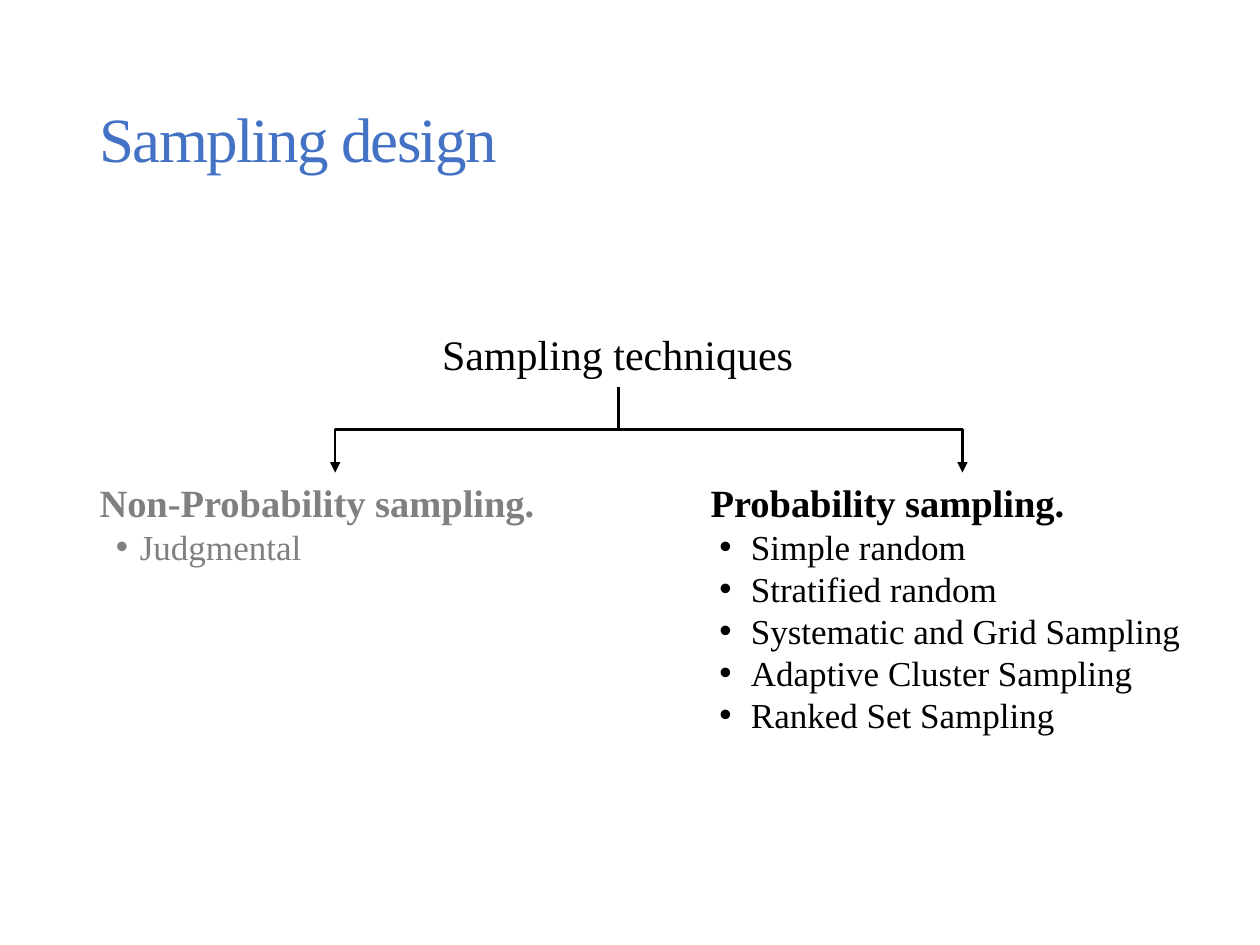
import pptx
import pptx.dml.color
import pptx.enum.shapes
import pptx.enum.text
import pptx.oxml.ns
import pptx.util
from lxml import etree

Pt = pptx.util.Pt
qn = pptx.oxml.ns.qn

COLOURS = {"title": "4472C4", "text": "000000", "muted": "808080"}
FONT = "Times New Roman"
TRUNK_X, TRUNK_TOP, BRANCH_BOTTOM = 353.5, 221, 270


def place(shape, left, top, width, height):
    box = {"left": left, "top": top, "width": width, "height": height}
    for name, value in box.items():
        setattr(shape, name, Pt(value))


def set_text(paragraph, text, size, colour, bold=False):
    paragraph.text = text
    font = paragraph.runs[0].font
    for name, value in {"name": FONT, "size": Pt(size), "bold": bold}.items():
        setattr(font, name, value)
    font.color.rgb = pptx.dml.color.RGBColor.from_string(COLOURS[colour])


def set_bullet(paragraph, character, margin, indent):
    """Set the indents, and a bullet or none if character is empty."""
    properties = paragraph._p.get_or_add_pPr()
    properties.set("marL", str(Pt(margin)))
    properties.set("indent", str(Pt(indent)))
    if character:
        etree.SubElement(properties, qn("a:buFont"), typeface="Arial")
        etree.SubElement(properties, qn("a:buChar"), char=character)
    else:
        etree.SubElement(properties, qn("a:buNone"))


def set_title(title, text):
    place(title, 49.7, 28.8, 620.6, 104.4)
    title.text_frame.vertical_anchor = pptx.enum.text.MSO_ANCHOR.MIDDLE
    paragraph = title.text_frame.paragraphs[0]
    set_text(paragraph, text, 36, "title")
    paragraph.alignment = pptx.enum.text.PP_ALIGN.LEFT
    paragraph.line_spacing = 0.9
    paragraph.runs[0].font._element.set("spc", "-100")


def add_label(slide, text):
    label = slide.shapes.add_textbox(Pt(245.5), Pt(184.3), Pt(216.7), Pt(36))
    label.text_frame.word_wrap = False
    set_text(label.text_frame.paragraphs[0], text, 24, "text")


def fill_list(body, box, heading, items, colour, hanging):
    place(body, *box)
    frame = body.text_frame
    frame.auto_size = pptx.enum.text.MSO_AUTO_SIZE.SHAPE_TO_FIT_TEXT
    frame.vertical_anchor = pptx.enum.text.MSO_ANCHOR.TOP
    set_bullet(frame.paragraphs[0], "", 0, 0)
    set_text(frame.paragraphs[0], heading, 22, colour, bold=True)
    for item in items:
        paragraph = frame.add_paragraph()
        paragraph.level = 1
        set_bullet(paragraph, "•", 23, -hanging)
        set_text(paragraph, item, 20, colour)
    for paragraph in frame.paragraphs:
        paragraph.space_before = Pt(0)
        paragraph.line_spacing = 1.0


def add_branch(slide, end_x):
    """Draw an elbow arrow that leaves the trunk downwards, as a turned connector."""
    height = BRANCH_BOTTOM - TRUNK_TOP
    span = abs(end_x - TRUNK_X)
    left = (TRUNK_X + end_x - height) / 2
    top = (TRUNK_TOP + BRANCH_BOTTOM - span) / 2
    begin_x, finish_x, angle = left, left + height, 90
    if end_x > TRUNK_X:
        begin_x, finish_x, angle = finish_x, begin_x, 270
    branch = slide.shapes.add_connector(
        pptx.enum.shapes.MSO_CONNECTOR.ELBOW,
        Pt(begin_x), Pt(top), Pt(finish_x), Pt(top + span))
    properties = branch._element.spPr
    properties.find(qn("a:xfrm")).set("rot", str(angle * 60000))
    branch.line.width = Pt(1.5)
    branch.line.color.rgb = pptx.dml.color.RGBColor.from_string(COLOURS["text"])
    etree.SubElement(properties.find(qn("a:ln")), qn("a:tailEnd"), type="triangle")
    etree.SubElement(properties, qn("a:effectLst"))


def main():
    presentation = pptx.Presentation()
    presentation.slide_width, presentation.slide_height = Pt(720), Pt(540)
    slide = presentation.slides.add_slide(
        presentation.slide_layouts.get_by_name("Two Content"))
    title, left_body, right_body = list(slide.placeholders)[:3]
    set_title(title, "Sampling design")
    add_label(slide, "Sampling techniques")
    fill_list(left_body, (49.7, 270, 284.4, 87.1), "Non-Probability sampling.",
              ["Judgmental"], "muted", 13.7)
    fill_list(right_body, (398.9, 270, 303.1, 184.3), "Probability sampling.",
              ["Simple random", "Stratified random", "Systematic and Grid Sampling",
               "Adaptive Cluster Sampling", "Ranked Set Sampling"], "text", 18)
    for end_x in (191.5, 550):
        add_branch(slide, end_x)
    presentation.save("out.pptx")


if __name__ == "__main__":
    main()
